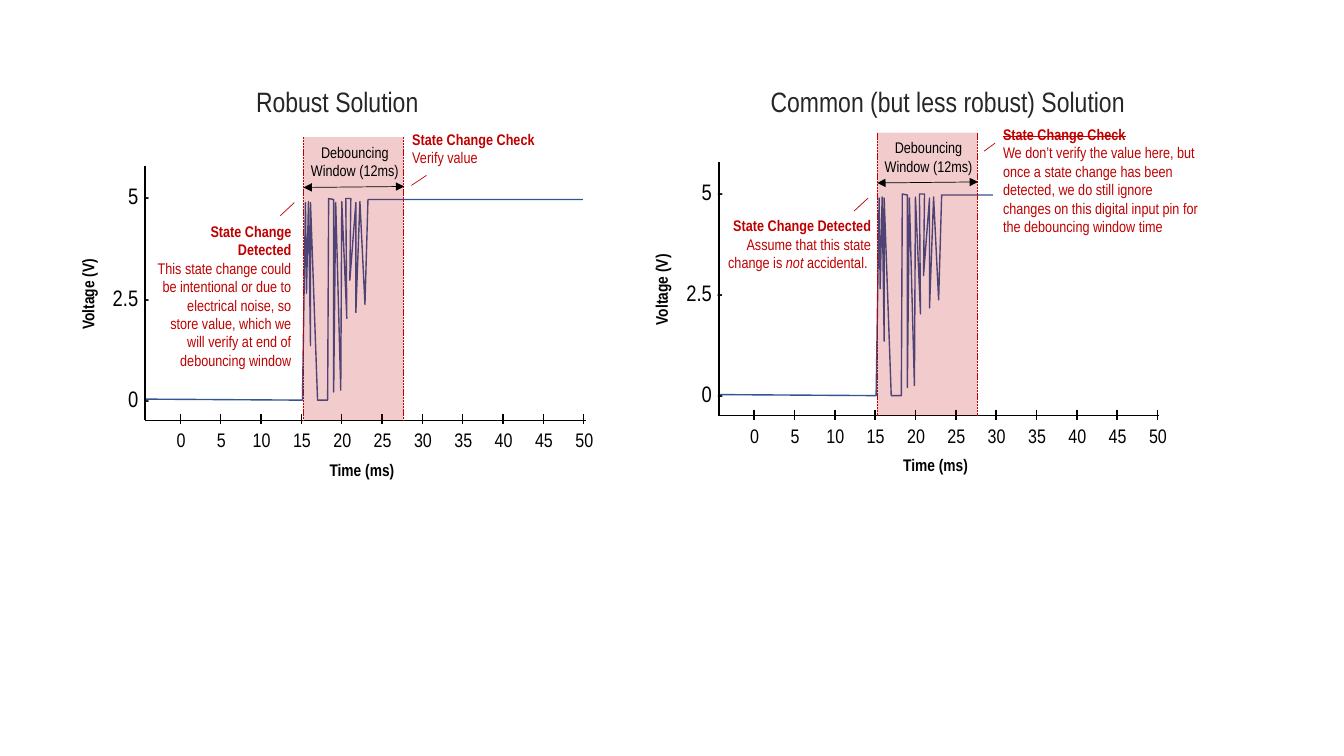
from pptx import Presentation, util as u
from pptx.dml.color import RGBColor
from pptx.enum import dml, shapes, text
from pptx.oxml import ns
from lxml import etree

BLACK = RGBColor(0x00, 0x00, 0x00)
CHARCOAL = RGBColor(0x26, 0x26, 0x26)
RED = RGBColor(0xC0, 0x00, 0x00)
BLUE = RGBColor(0x32, 0x54, 0x91)
WHITE = RGBColor(0xFF, 0xFF, 0xFF)
FONT = "Arial Narrow"
CELL = u.Inches(0.1)
LEFT, CENTER, RIGHT = text.PP_ALIGN.LEFT, text.PP_ALIGN.CENTER, text.PP_ALIGN.RIGHT

BOUNCE = [(0, 19.9), (15.6, 20), (15.9, 0.4), (16, 9.4), (16.2, 0.3), (16.4, 14.6),
          (16.4, 0.4), (17.1, 20), (18.1, 20), (18.2, 0), (18.7, 0.1), (18.7, 19.2),
          (18.9, 0.4), (19.4, 19), (19.5, 0.3), (20, 11.9), (19.9, 0), (20.4, 0),
          (20.3, 8.1), (20.9, 0.4), (20.9, 11.3), (21.3, 0.3), (21.8, 10.5),
          (22.1, 0.1), (43.4, 0.1)]

PANELS = [
    {"origin": (14.4, 13.6),
     "title": ("Robust Solution", (-6.5, -5.7, 51.1, 4.4)),
     "detected": ((0.2, 7.9, 15.3, 14), [
         [("State Change Detected", {"bold": True})],
         [("This state change could be intentional or due to electrical noise, so "
           "store value, which we will verify at end of debouncing window", {})]]),
     "check": ((25.5, -1.2, 19.2, 4.7), [
         [("State Change Check", {"bold": True})],
         [("Verify value", {})]]),
     "check_pointer": ((26.4, 4.8), (27.9, 3.8)),
     "check_fill": None},
    {"origin": (71.3, 13.15),
     "title": ("Common (but less robust) Solution", (-6.5, -5.25, 58.4, 4.4)),
     "detected": ((-0.5, 7.85, 16.6, 6.6), [
         [("State Change Detected", {"bold": True})],
         [("Assume that this state change is ", {}), ("not", {"italic": True}),
          (" accidental. ", {})]]),
     "check": ((27.2, -1.25, 21.6, 12.1), [
         [("State Change Check", {"bold": True, "strike": True})],
         [("We don’t verify the value here, but once a state change has been detected, "
           "we do still ignore changes on this digital input pin for the debouncing "
           "window time", {})]]),
     "check_pointer": ((26.3, 1.85), (27.4, 1.05)),
     "check_fill": WHITE},
]


def place(origin, x, y):
    """Turn a panel's grid position into a slide position."""
    return round((origin[0] + x) * CELL), round((origin[1] + y) * CELL)


def write(slide, origin, box, paragraphs, size, color=BLACK, align=CENTER,
          bold=False, rotation=0, fill=None):
    """Add a text box; paragraphs are lists of (words, format) runs."""
    x, y, width, height = box
    label = slide.shapes.add_textbox(*place(origin, x, y), round(width * CELL),
                                     round(height * CELL))
    label.rotation = rotation
    if fill is not None:
        label.fill.solid()
        label.fill.fore_color.rgb = fill
    frame = label.text_frame
    frame.word_wrap = True
    frame.auto_size = text.MSO_AUTO_SIZE.SHAPE_TO_FIT_TEXT
    for index, runs in enumerate(paragraphs):
        paragraph = frame.paragraphs[0] if index == 0 else frame.add_paragraph()
        paragraph.alignment = align
        for words, extra in runs:
            run = paragraph.add_run()
            run.text = words
            formats = {"name": FONT, "size": u.Pt(size), "bold": bold, **extra}
            if formats.pop("strike", False):
                run._r.get_or_add_rPr().set("strike", "sngStrike")
            for key, value in formats.items():
                setattr(run.font, key, value)
            run.font.color.rgb = color


def rule(slide, origin, start, end, color=BLACK, weight=1, dashed=False, arrows=False):
    """Draw a straight line, optionally dashed or with arrowheads."""
    line = slide.shapes.add_connector(shapes.MSO_CONNECTOR.STRAIGHT,
                                      *place(origin, *start), *place(origin, *end))
    line.line.color.rgb = color
    line.line.width = u.Pt(weight)
    if dashed:
        line.line.dash_style = dml.MSO_LINE.SQUARE_DOT
    if arrows:
        for tip in ("a:headEnd", "a:tailEnd"):
            etree.SubElement(line.line._get_or_add_ln(), ns.qn(tip), type="triangle")
    etree.SubElement(line._element.spPr, ns.qn("a:effectLst"))


def draw_signal(slide, origin):
    """Trace the bouncing voltage."""
    points = [place(origin, x, y + 6.1) for x, y in BOUNCE]
    builder = slide.shapes.build_freeform(*points[0])
    builder.add_line_segments(points[1:], close=False)
    signal = builder.convert_to_shape()
    signal.shadow.inherit = False
    signal.fill.background()
    signal.line.color.rgb = BLUE
    signal.line.width = u.Pt(1)


def draw_axes(slide, origin):
    """Draw both axes with their ticks, values and names."""
    rule(slide, origin, (0, 2.9), (0, 28.1))
    rule(slide, origin, (43.7, 28.1), (0, 28.1))
    for row, volts in enumerate(("5", "2.5", "0")):
        write(slide, origin, (-6.4, 4 + 10.05 * row, 7.8, 3.7),
              [[(volts + " -", {})]], 16, align=RIGHT)
    for column in range(11):
        x = 3.5 + 4 * column
        rule(slide, origin, (x, 27.5), (x, 28.5))
        write(slide, origin, (x - 1.9, 28.4, 3.9, 3.4), [[(str(5 * column), {})]], 14)
    write(slide, origin, (-12.4, 14.1, 13.4, 3), [[("Voltage (V)", {})]], 12,
          bold=True, rotation=270)
    write(slide, origin, (14.8, 31.5, 13.4, 3), [[("Time (ms)", {})]], 12, bold=True)


def draw_window(slide, origin):
    """Shade and label the debouncing window."""
    start, width, height = 15.7, 9.9, 28.1
    window = slide.shapes.add_shape(shapes.MSO_SHAPE.RECTANGLE, *place(origin, start, 0),
                                    round(width * CELL), round(height * CELL))
    window.shadow.inherit = False
    window.fill.solid()
    window.fill.fore_color.rgb = RED
    shade = window._element.spPr.find(".//" + ns.qn("a:srgbClr"))
    etree.SubElement(shade, ns.qn("a:alpha"), val="20000")
    window.line.fill.background()
    for x in (start, start + width):
        rule(slide, origin, (x, 0), (x, height), RED, 0.5, dashed=True)
    write(slide, origin, (13.1, 0.1, 15.4, 4.7),
          [[("Debouncing", {})], [("Window (12ms)", {})]], 11)
    rule(slide, origin, (start, 5), (start + 10, 4.9), weight=0.5, arrows=True)


def draw_panel(slide, panel):
    """Draw one solution: title, chart and notes."""
    origin = panel["origin"]
    title, title_box = panel["title"]
    write(slide, origin, title_box, [[(title, {})]], 20, CHARCOAL)
    draw_signal(slide, origin)
    draw_axes(slide, origin)
    draw_window(slide, origin)
    write(slide, origin, *panel["detected"], 11, RED, RIGHT)
    write(slide, origin, *panel["check"], 11, RED, LEFT, fill=panel["check_fill"])
    rule(slide, origin, (13.4, 7.8), (14.8, 6.5), RED, 0.5)
    rule(slide, origin, *panel["check_pointer"], RED, 0.5)


def main():
    """Build the slide and save it."""
    deck = Presentation()
    deck.slide_width, deck.slide_height = u.Inches(13.33), u.Inches(7.5)
    slide = deck.slides.add_slide(deck.slide_layouts[6])
    for panel in PANELS:
        draw_panel(slide, panel)
    deck.save("out.pptx")


if __name__ == "__main__":
    main()
